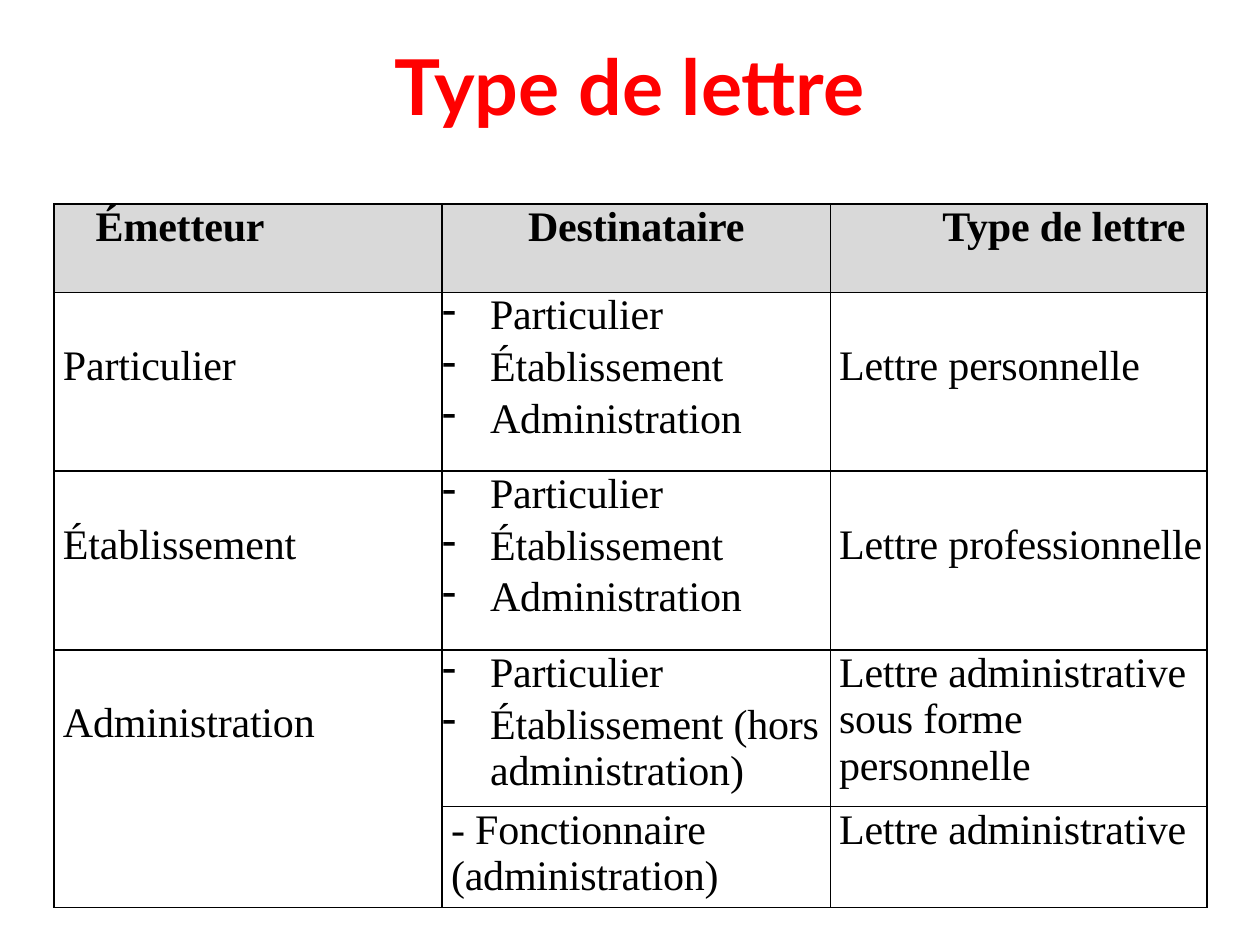
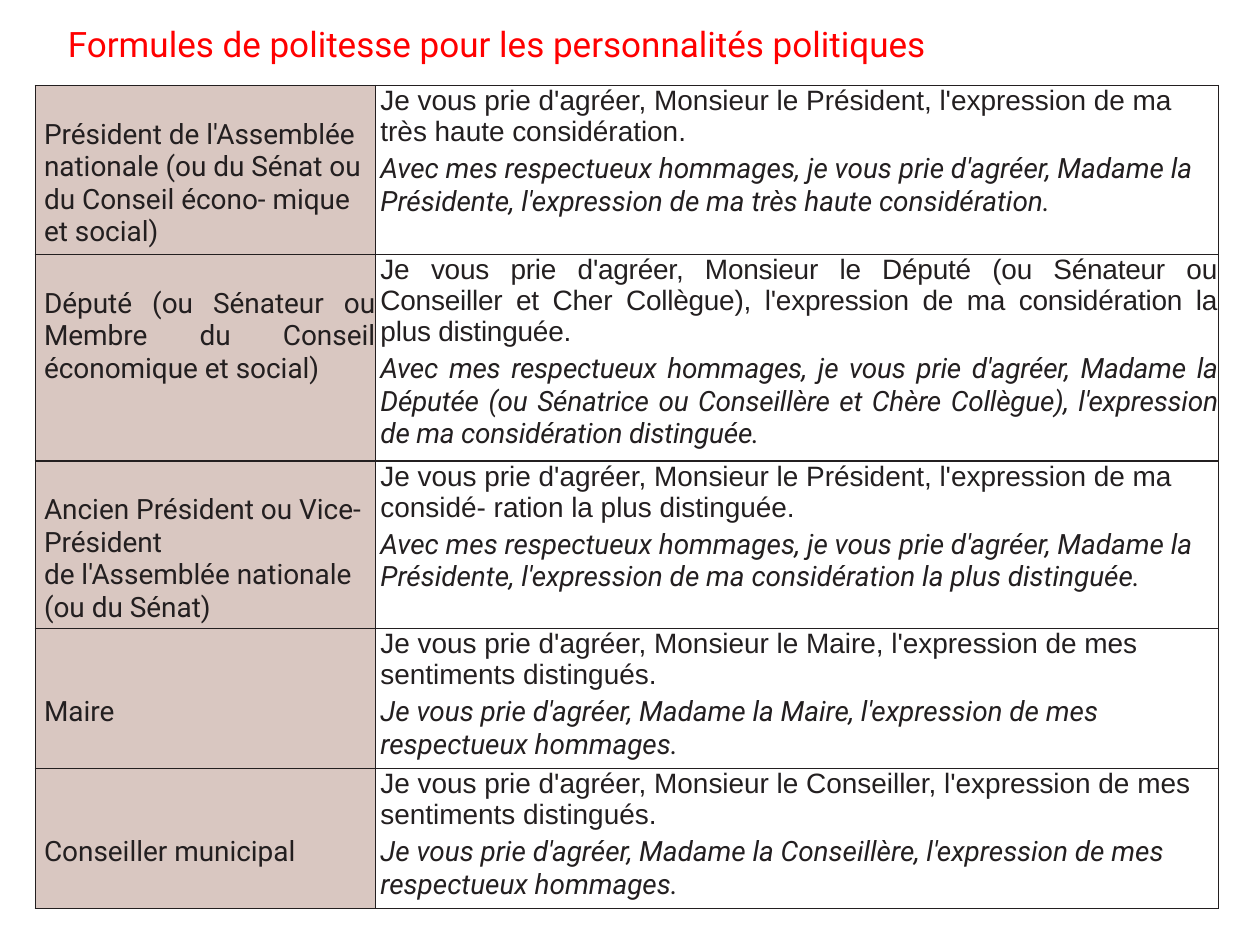
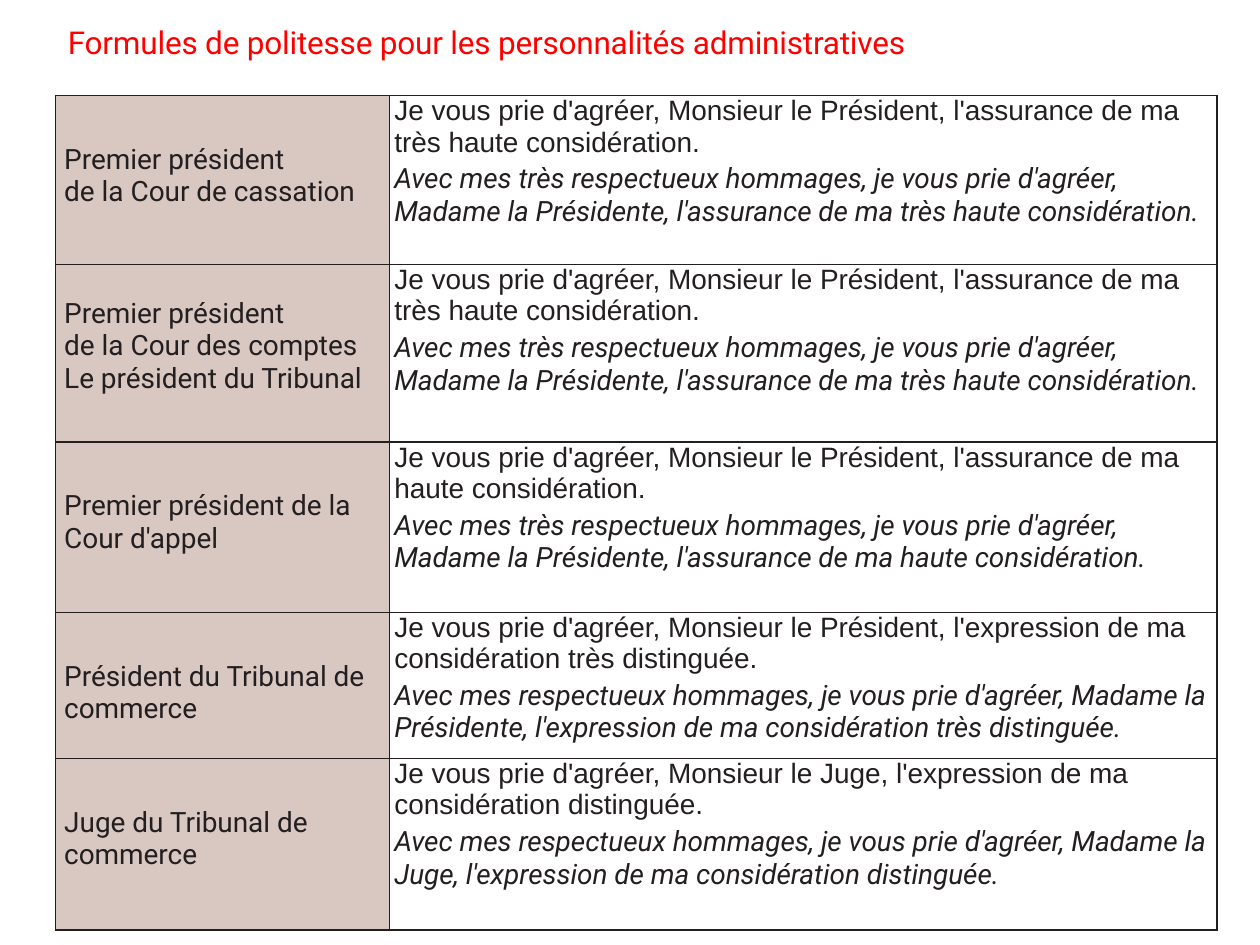
from dataclasses import dataclass

from lxml.etree import SubElement
from pptx import Presentation
from pptx.dml.color import RGBColor
from pptx.enum.text import MSO_ANCHOR, PP_ALIGN
from pptx.oxml.ns import qn
from pptx.util import Inches, Pt


@dataclass(frozen=True)
class Theme:
    red: str = "FF0000"
    black: str = "000000"
    ink: str = "231F20"
    gray: str = "D9D9D9"
    rose: str = "D9C7C1"
    main_title: int = 44
    letter_text: int = 24
    formula_text: int = 16
    letter_font: str = "Times New Roman"
    formula_font: str = "Arial"
    label_font: str = "Roboto"
    title_font: str = "Lato"
    title_line: int = 45
    border: int = 1
    letter_gap: float = 3
    formula_gap: float = 2.9
    tight: int = -10


THEME = Theme()

LETTER_TITLE = "Type de lettre"
LETTER_HEADERS = [
    ("Émetteur", 0.33, PP_ALIGN.LEFT),
    ("Destinataire", 0, PP_ALIGN.CENTER),
    ("Type de lettre", 0.89, PP_ALIGN.LEFT),
]
RECIPIENTS = ["Particulier", "Établissement", "Administration"]
LETTER_ROWS = [
    ("Particulier", RECIPIENTS, "Lettre personnelle", 0.4),
    ("Établissement", RECIPIENTS, "Lettre professionnelle", 0.4),
    ("Administration", ["Particulier", "Établissement (hors administration)"],
     "Lettre administrative sous forme personnelle", 0),
    (None, "- Fonctionnaire (administration)", "Lettre administrative", 0),
]
LETTER_GRID = {"left": 0.43, "top": 1.62, "columns": [3.08, 3.08, 2.99],
               "rows": [0.7, 1.42, 1.42, 1.14, 0.74]}

FORMULA_SLIDES = [
    {
        "title": "Formules de politesse pour les personnalités politiques",
        "size": 20,
        "spacing": 0,
        "grid": {"left": 0.28, "top": 0.68, "columns": [2.7, 6.69],
                 "rows": [1.34, 1.64, 1.33, 1.11, 1.11]},
        "rows": [
            (["Président de l'Assemblée nationale (ou du Sénat ou du Conseil écono- mique et social)"], 0.26,
             "Je vous prie d'agréer, Monsieur le Président, l'expression de ma très haute considération.",
             "Avec mes respectueux hommages, je vous prie d'agréer, Madame la Présidente, "
             "l'expression de ma très haute considération."),
            (["Député (ou Sénateur ou Membre du Conseil économique et social)"], 0.26,
             "Je vous prie d'agréer, Monsieur le Député (ou Sénateur ou Conseiller et Cher Collègue), "
             "l'expression de ma considération la plus distinguée.",
             "Avec mes respectueux hommages, je vous prie d'agréer, Madame la Députée (ou Sénatrice "
             "ou Conseillère et Chère Collègue), l'expression de ma considération distinguée."),
            (["Ancien Président ou Vice-Président", "de l'Assemblée nationale (ou du Sénat)"], 0.26,
             "Je vous prie d'agréer, Monsieur le Président, l'expression de ma considé- ration la plus distinguée.",
             "Avec mes respectueux hommages, je vous prie d'agréer, Madame la Présidente, "
             "l'expression de ma considération la plus distinguée."),
            (["Maire"], 0.53,
             "Je vous prie d'agréer, Monsieur le Maire, l'expression de mes sentiments distingués.",
             "Je vous prie d'agréer, Madame la Maire, l'expression de mes respectueux hommages."),
            (["Conseiller municipal"], 0.53,
             "Je vous prie d'agréer, Monsieur le Conseiller, l'expression de mes sentiments distingués.",
             "Je vous prie d'agréer, Madame la Conseillère, l'expression de mes respectueux hommages."),
        ],
        "justified": {1},
    },
    {
        "title": "Formules de politesse pour les personnalités administratives",
        "size": 18,
        "spacing": THEME.tight,
        "grid": {"left": 0.44, "top": 0.76, "columns": [2.65, 6.57],
                 "rows": [1.34, 1.41, 1.35, 1.16, 1.36]},
        "rows": [
            (["Premier président", "de la Cour de cassation"], 0.38,
             "Je vous prie d'agréer, Monsieur le Président, l'assurance de ma très haute considération.",
             "Avec mes très respectueux hommages, je vous prie d'agréer, Madame la Présidente, "
             "l'assurance de ma très haute considération."),
            (["Premier président", "de la Cour des comptes Le président du Tribunal"], 0.26,
             "Je vous prie d'agréer, Monsieur le Président, l'assurance de ma très haute considération.",
             "Avec mes très respectueux hommages, je vous prie d'agréer, Madame la Présidente, "
             "l'assurance de ma très haute considération."),
            (["Premier président de la Cour d'appel"], 0.38,
             "Je vous prie d'agréer, Monsieur le Président, l'assurance de ma haute considération.",
             "Avec mes très respectueux hommages, je vous prie d'agréer, Madame la Présidente, "
             "l'assurance de ma haute considération."),
            (["Président du Tribunal de commerce"], 0.38,
             "Je vous prie d'agréer, Monsieur le Président, l'expression de ma considération très distinguée.",
             "Avec mes respectueux hommages, je vous prie d'agréer, Madame la Présidente, "
             "l'expression de ma considération très distinguée."),
            (["Juge du Tribunal de commerce"], 0.38,
             "Je vous prie d'agréer, Monsieur le Juge, l'expression de ma considération distinguée.",
             "Avec mes respectueux hommages, je vous prie d'agréer, Madame la Juge, "
             "l'expression de ma considération distinguée."),
        ],
        "justified": set(),
    },
]


def apply_format(target, values):
    for name, value in values.items():
        setattr(target, name, value)


def write_paragraph(paragraph, text, font, color, spacing=0, layout=None):
    apply_format(paragraph, layout or {})
    run = paragraph.add_run()
    run.text = text
    apply_format(run.font, font)
    run.font.color.rgb = RGBColor.from_string(color)
    if spacing:
        run.font._element.set("spc", str(spacing))


def add_title(slide, text, box, font, spacing=0, layout=None):
    shape = slide.shapes.add_textbox(*map(Inches, box))
    apply_format(shape.text_frame, {
        "word_wrap": True,
        "vertical_anchor": MSO_ANCHOR.MIDDLE if layout else MSO_ANCHOR.TOP,
    })
    write_paragraph(shape.text_frame.paragraphs[0], text, font, THEME.red, spacing, layout)


def add_borders(cell, color):
    properties = cell._tc.get_or_add_tcPr()
    for side in ("lnL", "lnR", "lnT", "lnB"):
        line = SubElement(properties, qn(f"a:{side}"), w=str(Pt(THEME.border)))
        fill = SubElement(line, qn("a:solidFill"))
        SubElement(fill, qn("a:srgbClr"), val=color)


def add_grid(slide, grid, border):
    columns, rows = grid["columns"], grid["rows"]
    position = map(Inches, (grid["left"], grid["top"], sum(columns), sum(rows)))
    table = slide.shapes.add_table(len(rows), len(columns), *position).table
    apply_format(table, {"first_row": False, "horz_banding": False})
    for column, width in zip(table.columns, columns):
        column.width = Inches(width)
    for row, height in zip(table.rows, rows):
        row.height = Inches(height)
    for cell in table.iter_cells():
        apply_format(cell, dict.fromkeys(
            ("margin_left", "margin_right", "margin_top", "margin_bottom"), 0))
        add_borders(cell, border)
        cell.fill.background()
    return table


def fill_cell(cell, texts, fonts, color, left=0, top=0, gap=0, fill=None,
              align=PP_ALIGN.LEFT, spacing=0, bullet=False):
    apply_format(cell, {"margin_left": Inches(left), "margin_top": Inches(top)})
    if fill:
        cell.fill.solid()
        cell.fill.fore_color.rgb = RGBColor.from_string(fill)
    for index, (text, font) in enumerate(zip(texts, fonts)):
        frame = cell.text_frame
        paragraph = frame.add_paragraph() if index else frame.paragraphs[0]
        layout = {"alignment": align, "space_before": Pt(gap if index else 0)}
        apply_format(paragraph, layout)
        if bullet:
            properties = paragraph._p.get_or_add_pPr()
            properties.set("marL", str(Inches(0.38)))
            properties.set("indent", str(-Inches(0.38)))
            SubElement(properties, qn("a:buChar"), char="-")
        write_paragraph(paragraph, text, font, color, spacing)


def build_letter_slide(slide):
    add_title(slide, LETTER_TITLE, (0.5, 0.3, 9, 0.85),
              {"name": THEME.title_font, "size": Pt(THEME.main_title), "bold": True},
              layout={"alignment": PP_ALIGN.CENTER, "line_spacing": Pt(THEME.title_line),
                      "space_after": Pt(8)})
    table = add_grid(slide, LETTER_GRID, THEME.black)
    table.cell(3, 0).merge(table.cell(4, 0))
    font = {"name": THEME.letter_font, "size": Pt(THEME.letter_text)}
    shared = {"color": THEME.black, "spacing": THEME.tight}
    for column, (text, left, align) in enumerate(LETTER_HEADERS):
        fill_cell(table.cell(0, column), [text], [font | {"bold": True}],
                  left=left, align=align, fill=THEME.gray, **shared)
    for row, (sender, recipients, letter, type_top) in enumerate(LETTER_ROWS, 1):
        if sender:
            fill_cell(table.cell(row, 0), [sender], [font], left=0.07, top=0.4, **shared)
        bullet = isinstance(recipients, list)
        texts = recipients if bullet else [recipients]
        fill_cell(table.cell(row, 1), texts, [font] * len(texts), left=0 if bullet else 0.07,
                  gap=THEME.letter_gap, bullet=bullet, **shared)
        fill_cell(table.cell(row, 2), [letter], [font], left=0.07, top=type_top, **shared)


def build_formula_slide(slide, content):
    add_title(slide, content["title"], (0.44, 0.13, 9.21, 0.44),
              {"name": THEME.label_font, "size": Pt(content["size"])}, content["spacing"])
    table = add_grid(slide, content["grid"], THEME.ink)
    size = Pt(THEME.formula_text)
    label_font = {"name": THEME.label_font, "size": size}
    formula_fonts = [{"name": THEME.formula_font, "size": size}, label_font | {"italic": True}]
    for row, (labels, top, masculine, feminine) in enumerate(content["rows"]):
        justified = row in content["justified"]
        align = PP_ALIGN.JUSTIFY if justified else PP_ALIGN.LEFT
        fill_cell(table.cell(row, 0), labels, [label_font] * len(labels), THEME.ink,
                  left=0.07, top=top, fill=THEME.rose, align=align)
        fill_cell(table.cell(row, 1), [masculine, feminine], formula_fonts, THEME.ink,
                  left=0.04, gap=THEME.formula_gap, align=align,
                  spacing=THEME.tight if justified else 0)


def main():
    presentation = Presentation()
    apply_format(presentation, {"slide_width": Inches(10), "slide_height": Inches(7.5)})
    blank = presentation.slide_layouts[6]
    build_letter_slide(presentation.slides.add_slide(blank))
    for content in FORMULA_SLIDES:
        build_formula_slide(presentation.slides.add_slide(blank), content)
    presentation.save("out.pptx")


if __name__ == "__main__":
    main()
